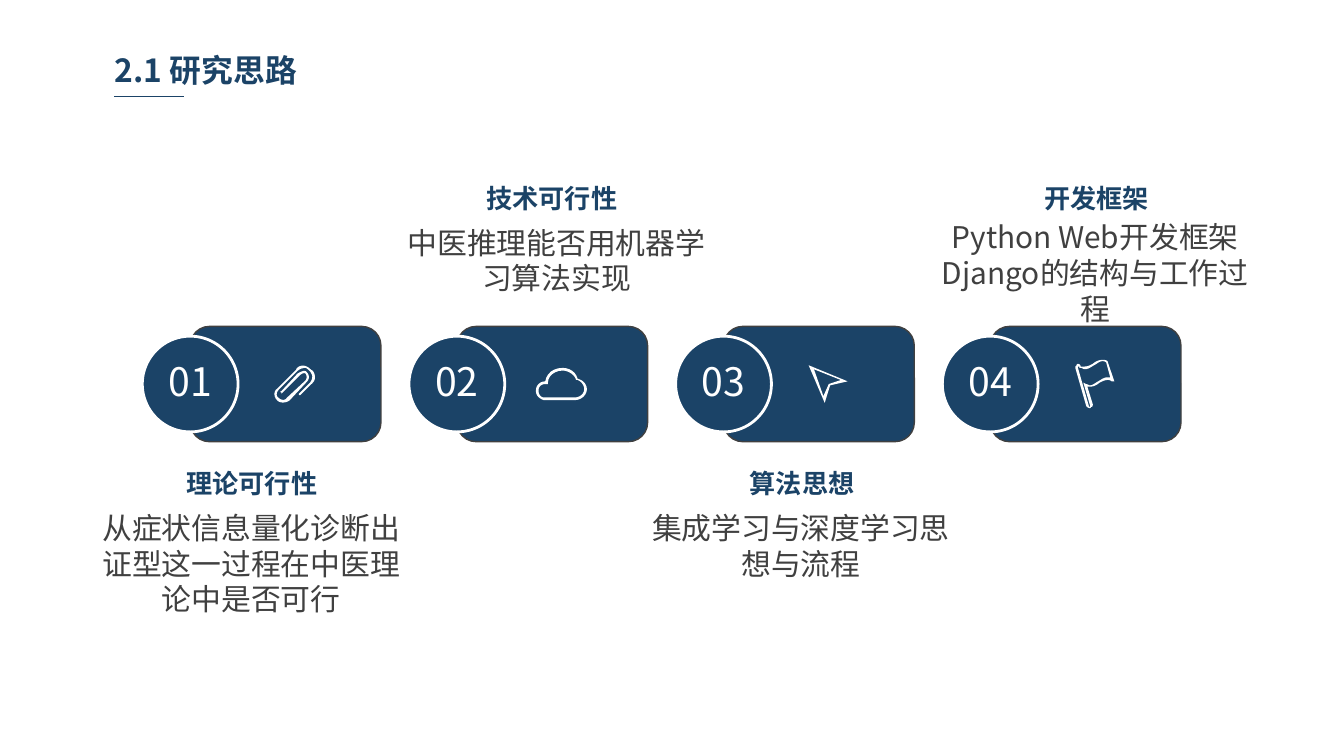
from dataclasses import dataclass
from lxml.etree import SubElement
from pptx import Presentation
from pptx.dml.color import RGBColor
from pptx.enum.shapes import MSO_CONNECTOR, MSO_SHAPE
from pptx.enum.text import MSO_ANCHOR, MSO_AUTO_SIZE, PP_ALIGN
from pptx.oxml.ns import qn
from pptx.util import Cm, Pt


@dataclass(frozen=True)
class Theme:
    font: str = "Noto Sans CJK SC"
    navy: RGBColor = RGBColor(0x1B, 0x43, 0x67)
    gray: RGBColor = RGBColor(0x40, 0x40, 0x40)
    white: RGBColor = RGBColor(0xFF, 0xFF, 0xFF)
    heading: int = 17
    number: int = 21
    label: int = 14
    body: int = 16


T = Theme()
ICON_UNIT = 0.0254
CURVE_STEPS = 6

PAPERCLIP = [[
    (28, 3), (26, 1, 24, 0, 22, 0), (19, 0, 17, 2, 17, 3), (3, 17),
    (0, 19, 0, 23, 3, 26), (5, 28, 9, 28, 12, 26), (25, 12),
    (27, 10, 27, 7, 25, 5), (24, 3, 21, 4, 18, 6), (6, 19),
    (5, 19, 5, 20, 6, 20), (6, 21, 6, 21, 7, 20), (20, 7),
    (21, 6, 23, 5, 24, 6), (25, 7, 25, 10, 24, 11), (10, 24),
    (9, 26, 6, 26, 4, 24), (2, 23, 2, 20, 4, 18), (18, 4),
    (18, 4, 20, 2, 22, 2), (24, 1, 25, 2, 27, 4), (28, 5, 29, 7, 29, 8),
    (29, 11, 27, 13, 27, 13), (19, 21), (19, 22), (20, 22), (28, 14),
    (28, 14, 31, 12, 31, 9), (31, 6, 30, 4, 28, 3),
]]
CLOUD = [
    [(29, 24), (6, 24), (3, 23, 0, 21, 0, 17), (0, 13, 3, 10, 7, 10),
     (8, 4, 13, 0, 20, 0), (25, 0, 30, 3, 31, 8), (35, 9, 38, 12, 38, 16),
     (38, 20, 34, 24, 29, 24)],
    [(6, 22), (29, 22), (33, 22, 36, 19, 36, 16), (36, 13, 34, 10, 31, 9),
     (30, 9), (29, 5, 24, 2, 20, 2), (14, 2, 9, 6, 9, 11), (9, 12), (7, 12),
     (4, 12, 2, 14, 2, 17), (2, 20, 4, 22, 6, 22)],
]
POINTER = [
    [(12, 28), (0, 0), (29, 12), (16, 15)],
    [(4, 3), (11, 23), (15, 14), (24, 11)],
]
FLAG = [
    [(11, 36), (10, 36, 8, 35, 8, 34), (0, 6), (0, 5, 0, 5, 1, 4),
     (1, 4, 1, 3, 2, 3), (3, 3, 4, 4, 4, 5), (5, 5, 6, 5, 7, 5),
     (9, 5, 11, 4, 13, 3), (15, 1, 18, 0, 20, 0), (21, 0, 23, 0, 24, 1),
     (29, 16), (27, 16), (26, 15, 25, 15, 24, 15), (22, 15, 20, 16, 18, 17),
     (16, 19, 13, 20, 11, 20), (9, 20), (13, 33), (13, 34, 13, 35, 12, 35)],
    [(2, 5), (2, 6), (10, 34), (10, 34, 10, 35, 11, 35), (11, 34), (6, 17),
     (8, 18), (9, 18, 10, 19, 11, 19), (13, 19, 15, 17, 17, 16),
     (19, 15, 21, 13, 24, 13), (26, 13), (23, 2), (22, 1, 21, 1, 20, 1),
     (18, 1, 16, 3, 14, 4), (12, 5, 10, 7, 7, 7), (6, 7, 5, 6, 4, 6),
     (3, 6), (3, 5)],
]

ICONS = [PAPERCLIP, CLOUD, POINTER, FLAG]
CAPTIONS = [
    ("理论可行性", 4.76, 8.74,
     "从症状信息量化诊断出证型这一过程在中医理论中是否可行", (1.6, 9.53, 6.3, 2.24)),
    ("技术可行性", 10.43, 3.35,
     "中医推理能否用机器学习算法实现", (7.37, 4.14, 6.3, 1.55)),
    ("算法思想", 15.16, 8.74,
     "集成学习与深度学习思想与流程", (11.99, 9.53, 6.3, 1.55)),
    ("开发框架", 20.73, 3.35,
     "Python Web开发框架Django的结构与工作过程", (17.55, 4.04, 6.3, 2.24)),
]


def write(tf, text, size, color, bold=False, align=PP_ALIGN.CENTER):
    p = tf.paragraphs[0]
    p.text, p.alignment = text, align
    f = p.font
    f.name, f.size, f.bold = T.font, Pt(size), bold
    f.color.rgb = color
    props = p._p.pPr.find(qn("a:defRPr"))
    SubElement(props, qn("a:ea"), typeface=T.font)
    return p


def add_text(slide, box, text, size, color, wrap=True, **style):
    tf = slide.shapes.add_textbox(*map(Cm, box)).text_frame
    tf.word_wrap, tf.auto_size = wrap, MSO_AUTO_SIZE.SHAPE_TO_FIT_TEXT
    tf.margin_left = tf.margin_right = Cm(0.19)
    tf.margin_top = tf.margin_bottom = Cm(0.1)
    write(tf, text, size, color, **style)


def add_panel(slide, kind, box, line, width):
    sp = slide.shapes.add_shape(kind, *map(Cm, box))
    sp.shadow.inherit = False
    sp.fill.solid()
    sp.fill.fore_color.rgb = T.navy
    sp.line.color.rgb, sp.line.width = line, Pt(width)
    return sp


def flatten(contour):
    points = [contour[0]]
    for seg in contour[1:]:
        if len(seg) == 2:
            points.append(seg)
            continue
        x0, y0 = points[-1]
        x1, y1, x2, y2, x3, y3 = seg
        for i in range(1, CURVE_STEPS + 1):
            t = i / CURVE_STEPS
            a, b, c, d = (1 - t) ** 3, 3 * t * (1 - t) ** 2, 3 * t * t * (1 - t), t ** 3
            points.append((a * x0 + b * x1 + c * x2 + d * x3,
                           a * y0 + b * y1 + c * y2 + d * y3))
    return points


def add_icon(slide, mid_x, mid_y, contours):
    outlines = [flatten(c) for c in contours]
    xs, ys = zip(*outlines[0])
    left = mid_x - (min(xs) + max(xs)) / 2 * ICON_UNIT
    top = mid_y - (min(ys) + max(ys)) / 2 * ICON_UNIT
    placed = [[(Cm(left + x * ICON_UNIT), Cm(top + y * ICON_UNIT)) for x, y in o]
              for o in outlines]
    builder = slide.shapes.build_freeform(*placed[0][0])
    for points in placed:
        builder.move_to(*points[0])
        builder.add_line_segments(points[1:], close=True)
    sp = builder.convert_to_shape()
    sp.shadow.inherit = False
    sp.fill.solid()
    sp.fill.fore_color.rgb = T.white
    sp.line.fill.background()


def add_step(slide, box, number, icon):
    left, top, width, height = box
    disc = 1.81
    add_panel(slide, MSO_SHAPE.ROUNDED_RECTANGLE,
              (left + disc / 2, top, width - disc / 2, height), T.gray, 0.75)
    sp = add_panel(slide, MSO_SHAPE.OVAL,
                   (left, top + (height - disc) / 2, disc, disc), T.white, 1.5)
    tf = sp.text_frame
    tf.margin_left = tf.margin_right = tf.margin_top = tf.margin_bottom = 0
    tf.vertical_anchor = MSO_ANCHOR.MIDDLE
    write(tf, f"{number:02d}", T.number, T.white).line_spacing = 0.9
    add_icon(slide, left + 2.88, top + height / 2, icon)


def add_caption(slide, label, label_mid, label_top, body, body_box):
    width = len(label) * Pt(T.label).cm + 0.4
    add_text(slide, (label_mid - width / 2, label_top, width, 0.79),
             label, T.label, T.navy, wrap=False, bold=True)
    add_text(slide, body_box, body, T.body, T.gray)


def add_heading(slide, box, text):
    left, top, _, height = box
    add_text(slide, box, text, T.heading, T.navy, bold=True, align=PP_ALIGN.LEFT)
    x, y = left + 0.18, top + height + 0.05
    rule = slide.shapes.add_connector(
        MSO_CONNECTOR.STRAIGHT, Cm(x), Cm(y), Cm(x + 1.32), Cm(y))
    rule.line.color.rgb, rule.line.width = T.navy, Pt(0.75)
    SubElement(rule._element.spPr, qn("a:effectLst"))


def main():
    prs = Presentation()
    prs.slide_width, prs.slide_height = Cm(25.4), Cm(14.29)
    slide = prs.slides.add_slide(prs.slide_layouts[6])
    for i, icon in enumerate(ICONS):
        add_step(slide, (2.69 + 5.04 * i, 6.17, 4.51, 2.18), i + 1, icon)
    for caption in CAPTIONS:
        add_caption(slide, *caption)
    add_heading(slide, (1.98, 0.86, 6.27, 0.91), "2.1 研究思路")
    prs.save("out.pptx")


if __name__ == "__main__":
    main()
